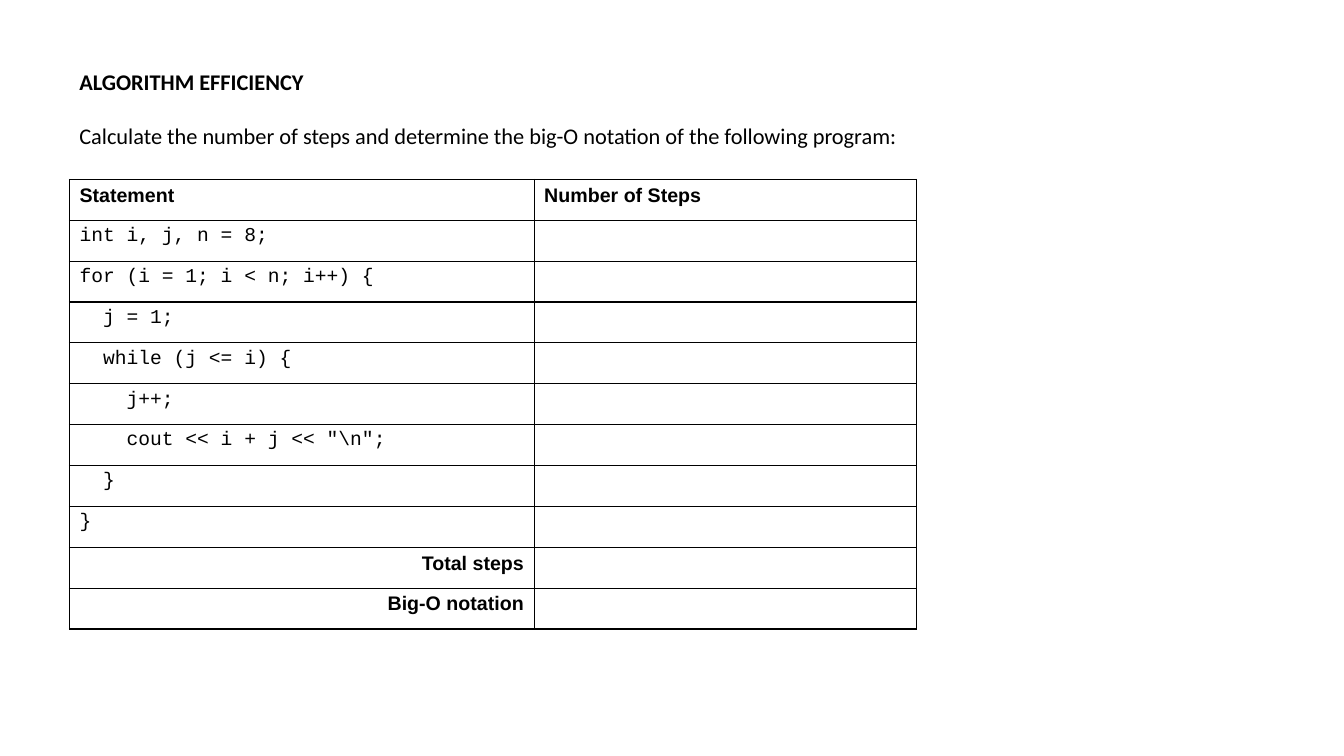
from dataclasses import dataclass

from lxml import etree
from pptx import Presentation
from pptx import util as u
from pptx.dml import color
from pptx.enum import text
from pptx.oxml import ns

HUES = {"ink": "000000", "page": "FFFFFF"}
LEFT = u.Cm(1.75)
ROW = u.Cm(1.03)
COLS = (u.Cm(11.71), u.Cm(9.63))


@dataclass
class Style:
    name: str
    size: int
    bold: bool = False
    align: text.PP_ALIGN = text.PP_ALIGN.LEFT


@dataclass
class Row:
    label: str
    style: Style
    steps: str = ""


TITLE = Style("Calibri", 16, True)
BODY = Style("Calibri", 16)
HEAD = Style("Arial", 14, True)
CODE = Style("Courier New", 14)
TOTAL = Style("Arial", 14, True, text.PP_ALIGN.RIGHT)

PROGRAM = r'''int i, j, n = 8;
for (i = 1; i < n; i++) {
  j = 1;
  while (j <= i) {
    j++;
    cout << i + j << "\n";
  }
}'''

ROWS = [
    Row("Statement", HEAD, "Number of Steps"),
    *(Row(line, CODE) for line in PROGRAM.splitlines()),
    Row("Total steps", TOTAL),
    Row("Big-O notation", TOTAL),
]


def write(para, words: str, style: Style) -> None:
    """Fill one paragraph with styled text."""
    para.alignment = style.align
    para.font.size = u.Pt(style.size)
    if not words:
        return
    run = para.add_run()
    run.text = words
    form = {"name": style.name, "size": u.Pt(style.size), "bold": style.bold}
    for key, value in form.items():
        setattr(run.font, key, value)
    run.font.color.rgb = color.RGBColor.from_string(HUES["ink"])


def frame(cell) -> None:
    """Give a cell thin borders and a plain fill."""
    props = cell._tc.get_or_add_tcPr()
    for side in ("lnL", "lnR", "lnT", "lnB"):
        line = etree.SubElement(props, ns.qn(f"a:{side}"), w=str(u.Pt(1)))
        fill = etree.SubElement(line, ns.qn("a:solidFill"))
        etree.SubElement(fill, ns.qn("a:srgbClr"), val=HUES["ink"])
    cell.fill.solid()
    cell.fill.fore_color.rgb = color.RGBColor.from_string(HUES["page"])


def add_intro(slide) -> None:
    box = slide.shapes.add_textbox(LEFT, u.Cm(1.6), u.Cm(28.83), u.Cm(5.74))
    body = box.text_frame
    body.word_wrap = True
    write(body.paragraphs[0], "ALGORITHM EFFICIENCY", TITLE)
    task = body.add_paragraph()
    task.space_before = u.Pt(19.5)
    write(task, "Calculate the number of steps and determine the big-O "
                "notation of the following program:", BODY)


def add_steps(slide) -> None:
    table = slide.shapes.add_table(
        len(ROWS), len(COLS), LEFT, u.Cm(4.52), sum(COLS), ROW * len(ROWS)
    ).table
    for col, width in zip(table.columns, COLS):
        col.width = width
    for line, row in zip(table.rows, ROWS):
        line.height = ROW
        for cell, words in zip(line.cells, (row.label, row.steps)):
            frame(cell)
            write(cell.text_frame.paragraphs[0], words, row.style)


def main() -> None:
    deck = Presentation()
    deck.slide_width, deck.slide_height = u.Cm(33.87), u.Cm(19.05)
    slide = deck.slides.add_slide(deck.slide_layouts[6])

    # Heading and task
    add_intro(slide)

    # Program table
    add_steps(slide)

    deck.save("out.pptx")


if __name__ == "__main__":
    main()
